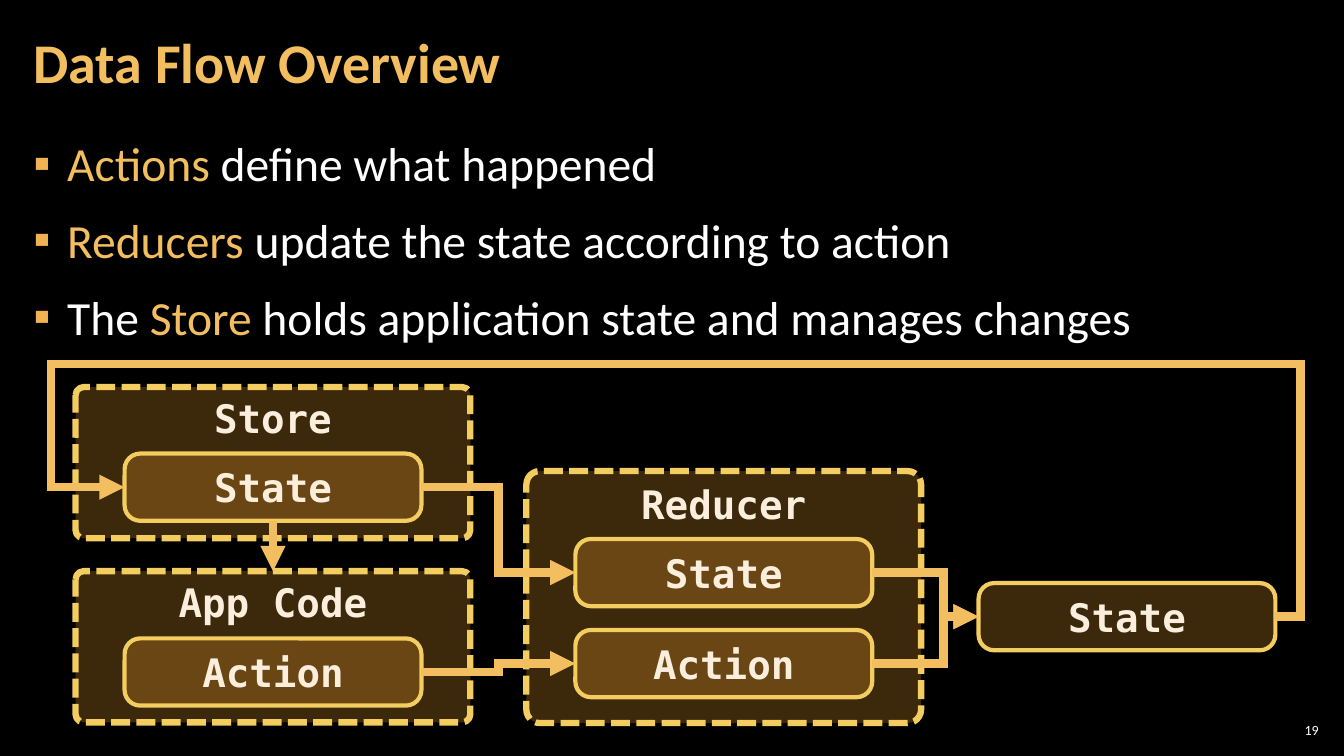
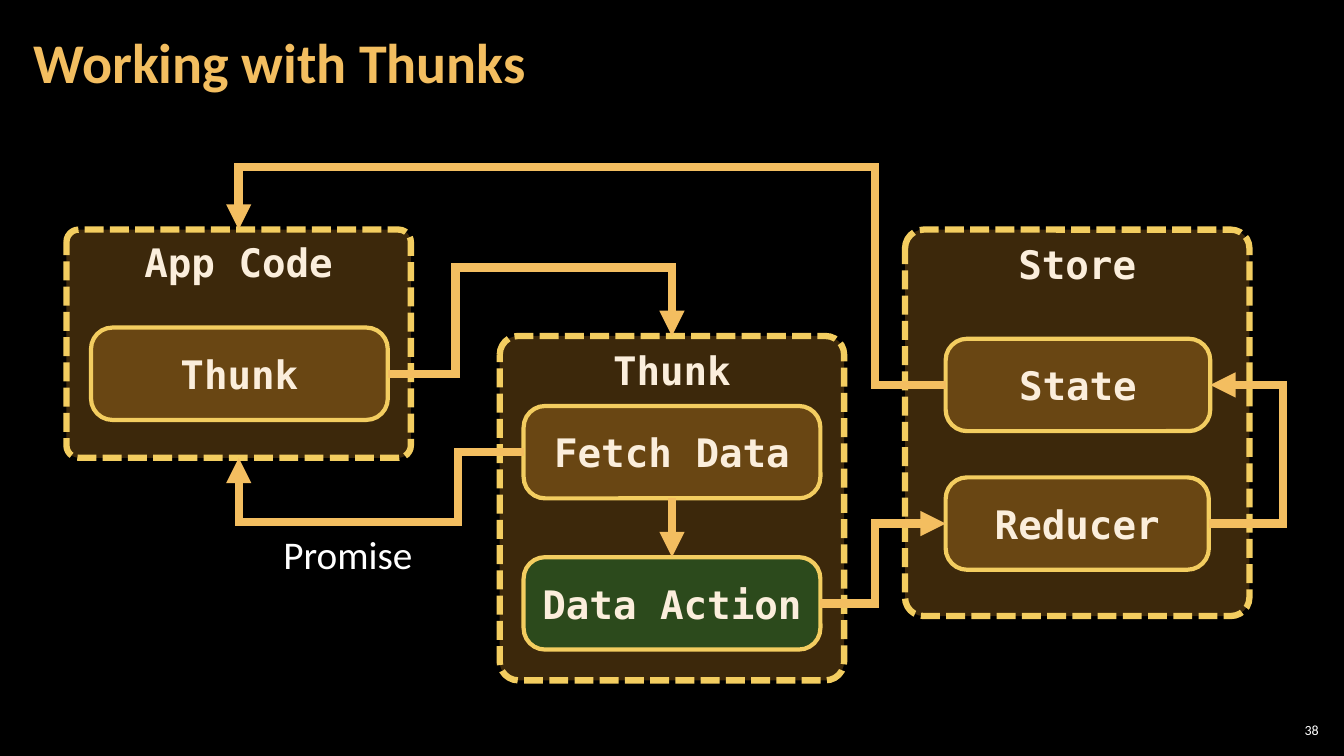
from lxml.etree import SubElement
from pptx import Presentation
from pptx.dml.color import RGBColor
from pptx.enum.dml import MSO_LINE
from pptx.enum.shapes import MSO_CONNECTOR, MSO_SHAPE
from pptx.enum.text import MSO_ANCHOR, MSO_AUTO_SIZE, PP_ALIGN
from pptx.oxml.ns import qn
from pptx.util import Pt

BLACK = RGBColor(0x00, 0x00, 0x00)
WHITE = RGBColor(0xFF, 0xFF, 0xFF)
GOLD = RGBColor(0xF3, 0xBE, 0x60)
EDGE = RGBColor(0xF3, 0xCD, 0x60)
AMBER = RGBColor(0xF0, 0xA2, 0x2E)
GREEN = RGBColor(0x00, 0xB0, 0x50)
CREAM = RGBColor(0xFB, 0xEE, 0xDC)
BULLET = RGBColor(0xF2, 0xB2, 0x54)
SANS, MONO = "Calibri", "DejaVu Sans Mono"
TOP, LEFT, BOTTOM, RIGHT = range(4)  # connection sites of a box

# Content: groups and boxes are key: (label, left, top, width, height);
# arrows are (from, site, to, site, turns), the turns being x, y, x ...
SLIDES = [
    {
        "title": "Data Flow Overview",
        "page": "19",
        "points": [
            "*Actions* define what happened",
            "*Reducers* update the state according to action",
            "The *Store* holds application state and manages changes",
        ],
        "groups": {
            "app": ("App Code", 54, 408, 282, 108),
            "store": ("Store", 54, 276.5, 282, 108),
            "reducer": ("Reducer", 376, 336.5, 282, 180),
        },
        "boxes": {
            "send": ("Action", 89, 456, 212, 48),
            "held": ("State", 89, 324, 212, 48),
            "old": ("State", 411, 385, 212, 48),
            "action": ("Action", 411, 450, 212, 48),
            "new": ("State", 699, 416.5, 212, 48),
        },
        "arrows": [
            ("send", RIGHT, "action", LEFT, [356]),
            ("held", RIGHT, "old", LEFT, [356]),
            ("old", RIGHT, "new", LEFT, [674]),
            ("action", RIGHT, "new", LEFT, [674]),
            ("new", RIGHT, "held", LEFT, [929, 260, 36]),
            ("held", BOTTOM, "app", TOP, []),
        ],
        "notes": [],
    },
    {
        "title": "Working with Thunks",
        "page": "38",
        "points": [],
        "groups": {
            "app": ("App Code", 47.5, 164, 246, 163),
            "thunk": ("Thunk", 357, 240, 246, 246),
            "store": ("Store", 646.5, 164, 246, 276),
        },
        "boxes": {
            "call": ("Thunk", 65, 234, 212, 66),
            "data": ("Data Action", 374, 398, 212, 66),
            "reducer": ("Reducer", 675.5, 341, 188, 66),
            "state": ("State", 675.5, 242, 189, 66),
            "fetch": ("Fetch Data", 374, 290, 212, 66),
        },
        "arrows": [
            ("reducer", RIGHT, "state", RIGHT, [917]),
            ("data", RIGHT, "reducer", LEFT, [625]),
            ("call", RIGHT, "thunk", TOP, [325.5, 191]),
            ("state", LEFT, "app", TOP, [625, 119.5]),
            ("fetch", LEFT, "app", BOTTOM, [327, 373]),
            ("fetch", BOTTOM, "data", TOP, []),
        ],
        "notes": [("Promise", 191.5, 375, 114, 41)],
    },
]


def write(shape, lines, size=28, font=SANS, color=WHITE, bold=False,
          align=PP_ALIGN.LEFT, anchor=MSO_ANCHOR.TOP, pad=(7.2, 3.6),
          lead=1.0, gap=0):
    """Fill a shape with lines; parts between asterisks turn gold."""
    frame = shape.text_frame
    frame.word_wrap = True
    frame.auto_size = MSO_AUTO_SIZE.NONE
    frame.vertical_anchor = anchor
    frame.margin_left = frame.margin_right = Pt(pad[0])
    frame.margin_top = frame.margin_bottom = Pt(pad[1])
    for i, line in enumerate(lines):
        para = frame.add_paragraph() if i else frame.paragraphs[0]
        para.alignment, para.line_spacing = align, lead
        para.space_before = para.space_after = Pt(gap)
        for j, part in enumerate(line.split("*")):
            if part:
                run = para.add_run()
                run.text = part
                run.font.name, run.font.size = font, Pt(size)
                run.font.bold = bold
                run.font.color.rgb = GOLD if j % 2 else color
    return frame


def place(shape, *area):
    shape.left, shape.top, shape.width, shape.height = map(Pt, area)
    return shape


def bullet(para):
    props = para._p.get_or_add_pPr()
    props.set("marL", str(Pt(24)))
    props.set("indent", str(-Pt(24)))
    tint = SubElement(props, qn("a:buClr"))
    SubElement(tint, qn("a:srgbClr")).set("val", str(BULLET))
    SubElement(props, qn("a:buFont")).set("typeface", SANS)
    SubElement(props, qn("a:buChar")).set("char", "▪")


def label(slide, text, *area, **form):
    box = slide.shapes.add_textbox(*map(Pt, area))
    write(box, [text], **form)


def panel(slide, text, *area, group=False, fill=AMBER):
    """Draw a see-through rounded box, dashed if it is a group."""
    box = slide.shapes.add_shape(MSO_SHAPE.ROUNDED_RECTANGLE, *map(Pt, area))
    box.adjustments[0] = 0.054 if group else 0.232
    box.shadow.inherit = False
    box.fill.solid()
    box.fill.fore_color.rgb = fill
    tint = box.element.spPr.find(qn("a:solidFill"))[0]
    SubElement(tint, qn("a:alpha")).set("val", "25000")
    box.line.color.rgb = EDGE
    box.line.width = Pt(4.5 if group else 3)
    if group:
        box.line.dash_style = MSO_LINE.SQUARE_DOT
    write(box, [text], font=MONO, color=CREAM, bold=True,
          align=PP_ALIGN.CENTER, pad=(0, 3.6),
          anchor=MSO_ANCHOR.TOP if group else MSO_ANCHOR.MIDDLE)
    return box


def arrow(slide, start, out, end, into, turns):
    """Join two boxes, bending at the given x, y, x ... positions."""
    kind = MSO_CONNECTOR.ELBOW if turns else MSO_CONNECTOR.STRAIGHT
    link = slide.shapes.add_connector(kind, 0, 0, 0, 0)
    link.begin_connect(start, out)
    link.end_connect(end, into)
    props = link.element.spPr
    if turns:
        geom = props.find(qn("a:prstGeom"))
        geom.set("prst", f"bentConnector{len(turns) + 2}")
        guides = geom.find(qn("a:avLst"))
        base = link.begin_x, link.begin_y
        span = link.end_x - base[0], link.end_y - base[1]
        for i, turn in enumerate(turns):
            ratio = (Pt(turn) - base[i % 2]) / span[i % 2]
            guide = SubElement(guides, qn("a:gd"))
            guide.set("name", f"adj{i + 1}")
            guide.set("fmla", f"val {round(ratio * 100000)}")
        # A leftward two-turn link is a half turn of a rightward one
        if len(turns) == 2 and span[0] < 0:
            frame = props.find(qn("a:xfrm"))
            frame.set("rot", "10800000")
            frame.set("flipH", "0")
            frame.set("flipV", "1" if span[1] > 0 else "0")
    link.line.color.rgb = GOLD
    link.line.width = Pt(6)
    line = props.find(qn("a:ln"))
    SubElement(line, qn("a:miter")).set("lim", "800000")
    SubElement(line, qn("a:tailEnd")).set("type", "triangle")
    SubElement(props, qn("a:effectLst"))


def build(deck, data):
    layout = deck.slide_layouts[1 if data["points"] else 5]
    slide = deck.slides.add_slide(layout)

    # Title, list and page number
    title = place(slide.shapes.title, 15, 3, 754, 87)
    write(title, [data["title"]], size=40, color=GOLD, bold=True,
          anchor=MSO_ANCHOR.MIDDLE, pad=(9, 3), lead=0.9)
    if data["points"]:
        body = place(slide.placeholders[1], 15, 91, 930, 438)
        frame = write(body, data["points"], size=34, pad=(9, 3),
                      lead=1.05, gap=6)
        for para in frame.paragraphs:
            bullet(para)
    label(slide, data["page"], 911, 514, 34, 15, size=10, pad=(3, 3),
          align=PP_ALIGN.RIGHT, anchor=MSO_ANCHOR.MIDDLE)

    # Diagram
    nodes = {}
    for key, item in data["groups"].items():
        nodes[key] = panel(slide, *item, group=True)
    for key, item in data["boxes"].items():
        fill = GREEN if key == "data" else AMBER
        nodes[key] = panel(slide, *item, fill=fill)
    for start, out, end, into, turns in data["arrows"]:
        arrow(slide, nodes[start], out, nodes[end], into, turns)
    for note in data["notes"]:
        label(slide, *note, align=PP_ALIGN.CENTER)


def main():
    deck = Presentation()
    deck.slide_width, deck.slide_height = Pt(960), Pt(540)
    back = deck.slide_master.background.fill
    back.solid()
    back.fore_color.rgb = BLACK
    for data in SLIDES:
        build(deck, data)
    deck.save("out.pptx")


if __name__ == "__main__":
    main()
